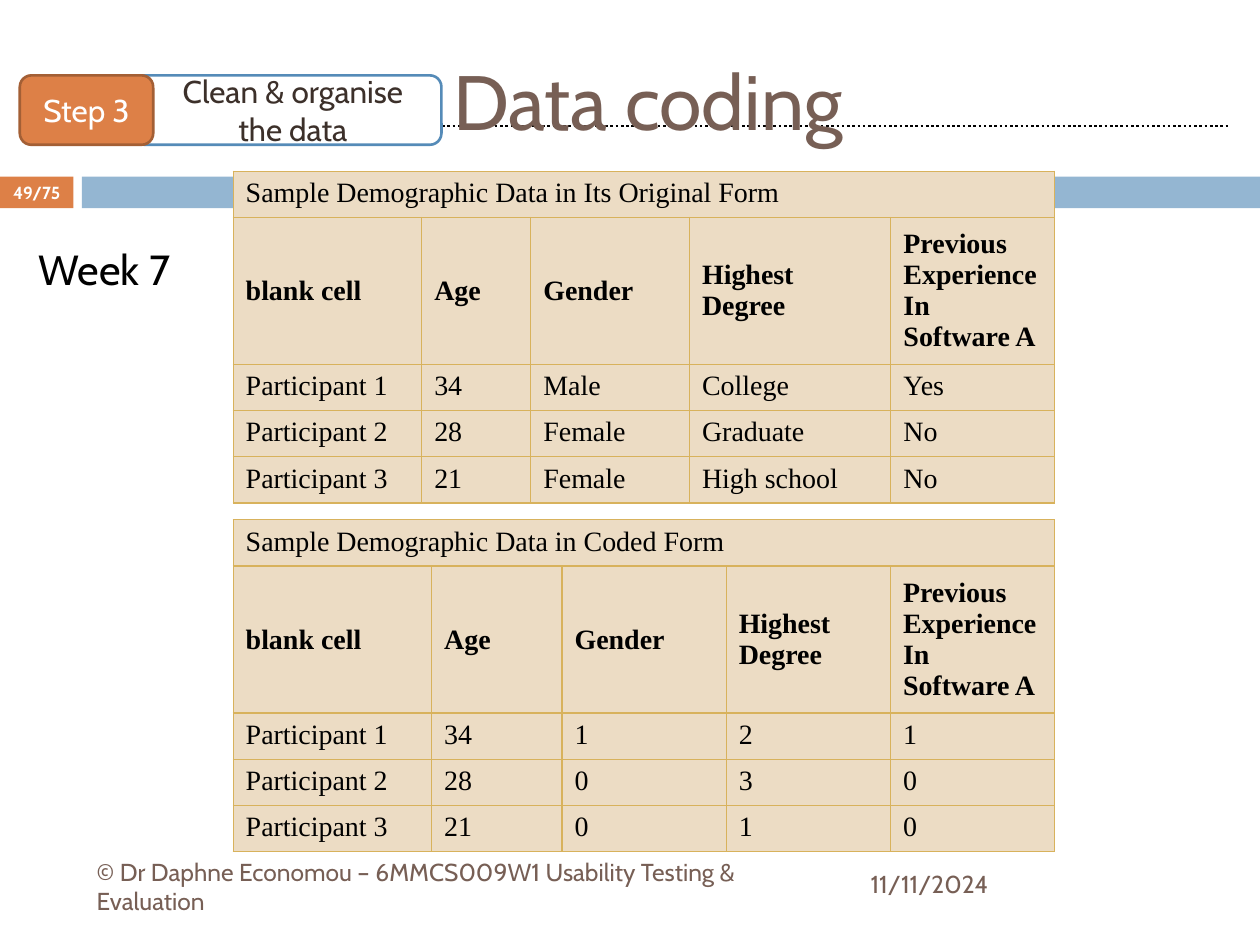
from lxml.etree import SubElement
from pptx import Presentation
from pptx.dml.color import RGBColor
from pptx.enum.dml import MSO_LINE
from pptx.enum.shapes import MSO_CONNECTOR, MSO_SHAPE
from pptx.enum.text import MSO_ANCHOR, PP_ALIGN
from pptx.oxml.ns import qn
from pptx.util import Cm, Pt

BLACK = RGBColor(0, 0, 0)
WHITE = RGBColor(255, 255, 255)
BROWN = RGBColor(0x77, 0x5F, 0x55)
DARK = RGBColor(0x3C, 0x30, 0x2A)
ORANGE = RGBColor(0xDD, 0x80, 0x47)
RUST = RGBColor(0xA3, 0x5F, 0x35)
SKY = RGBColor(0x94, 0xB6, 0xD2)
BLUE = RGBColor(0x55, 0x8B, 0xB8)
SAND = RGBColor(0xEC, 0xDC, 0xC4)
GOLD = "D8B25C"

HEADS = ["blank cell", "Age", "Gender", "Highest Degree",
         "Previous Experience In Software A"]
RAW = [["Participant 1", "34", "Male", "College", "Yes"],
       ["Participant 2", "28", "Female", "Graduate", "No"],
       ["Participant 3", "21", "Female", "High school", "No"]]
CODED = [["Participant 1", "34", "1", "2", "1"],
         ["Participant 2", "28", "0", "3", "0"],
         ["Participant 3", "21", "0", "1", "0"]]


def write(frame, text, size, color, bold=False, face="Cabin", align=PP_ALIGN.LEFT):
    para = frame.paragraphs[0]
    para.text = text
    para.alignment = align
    para.font.size = Pt(size)
    para.font.name = face
    para.font.bold = bold
    para.font.color.rgb = color
    return para


def add_text(slide, box, text, size, color, wrap=True, **style):
    frame = slide.shapes.add_textbox(*map(Cm, box)).text_frame
    frame.word_wrap = wrap
    frame.vertical_anchor = MSO_ANCHOR.MIDDLE
    write(frame, text, size, color, **style)


def add_block(slide, box, fill, kind=MSO_SHAPE.RECTANGLE, edge=None):
    shape = slide.shapes.add_shape(kind, *map(Cm, box))
    shape.shadow.inherit = False
    shape.fill.solid()
    shape.fill.fore_color.rgb = fill
    if edge is None:
        shape.line.fill.background()
    else:
        shape.line.color.rgb = edge
        shape.line.width = Pt(1.5)
    return shape


def add_band(slide, left, top, width, height):
    tab = 1.48
    gap = 0.17
    add_block(slide, (left, top, tab, height), ORANGE)
    add_block(slide, (left + tab + gap, top, width - tab - gap, height), SKY)
    add_text(slide, (left, top, tab, height), "49/75", 10, WHITE,
             bold=True, align=PP_ALIGN.CENTER)


def add_rule(slide, left, top, width):
    rule = slide.shapes.add_connector(
        MSO_CONNECTOR.STRAIGHT, Cm(left), Cm(top), Cm(left + width), Cm(top))
    rule.line.color.rgb = BLACK
    rule.line.width = Pt(1.5)
    rule.line.dash_style = MSO_LINE.ROUND_DOT
    SubElement(rule._element.spPr, qn("a:effectLst"))


def add_step(slide, left, top, width, height):
    tag = 2.69
    start = 2.28
    parts = [((left + start, top, width - start, height), WHITE, BLUE,
              "Clean & organise the data", DARK, 0.23),
             ((left, top, tag, height), ORANGE, RUST, "Step 3", WHITE, 0)]
    for box, fill, edge, text, color, pad in parts:
        shape = add_block(slide, box, fill, MSO_SHAPE.ROUNDED_RECTANGLE, edge)
        frame = shape.text_frame
        frame.word_wrap = True
        frame.vertical_anchor = MSO_ANCHOR.MIDDLE
        para = write(frame, text, 18, color, align=PP_ALIGN.CENTER)
        para._p.get_or_add_pPr().set("marL", str(Cm(pad)))


def style_cell(cell):
    props = cell._tc.get_or_add_tcPr()
    for side in ("a:lnL", "a:lnR", "a:lnT", "a:lnB"):
        line = SubElement(props, qn(side), w=str(Pt(0.79)))
        SubElement(SubElement(line, qn("a:solidFill")), qn("a:srgbClr"), val=GOLD)
    cell.fill.solid()
    cell.fill.fore_color.rgb = SAND


def add_grid(slide, left, top, title, rows, widths):
    low, tall = 0.88, 2.76
    data = [[title] + [""] * 4, HEADS] + rows
    sizes = [low, tall] + [low] * len(rows)
    table = slide.shapes.add_table(
        len(data), len(widths), Cm(left), Cm(top),
        Cm(sum(widths)), Cm(sum(sizes))).table
    for col, width in zip(table.columns, widths):
        col.width = Cm(width)
    for r, (row, size) in enumerate(zip(data, sizes)):
        table.rows[r].height = Cm(size)
        for c, text in enumerate(row):
            cell = table.cell(r, c)
            style_cell(cell)
            if r == 1:
                cell.vertical_anchor = MSO_ANCHOR.MIDDLE
            if text:
                write(cell.text_frame, text, 16, BLACK, r == 1, "Times New Roman")
    table.cell(0, 0).merge(table.cell(0, len(widths) - 1))


def add_footer(slide, left, top, height):
    add_text(slide, (left, top + 0.05, 15.06, height),
             "© Dr Daphne Economou – 6MMCS009W1 Usability Testing & Evaluation",
             14, BROWN)
    add_text(slide, (left + 15.6, top, 7.42, height), "11/11/2024", 14, BROWN)


def main():
    deck = Presentation()
    deck.slide_width = Cm(25.4)
    deck.slide_height = Cm(19.05)
    slide = deck.slides.add_slide(deck.slide_layouts[6])
    add_band(slide, 0, 3.56, 25.4, 0.64)
    add_rule(slide, 1.07, 2.54, 23.7)
    add_text(slide, (8.89, 0.64, 15.44, 2.74), "Data coding", 44, BROWN)
    add_grid(slide, 4.7, 3.45, "Sample Demographic Data in Its Original Form",
             RAW, [3.8, 2.2, 3.2, 4.06, 3.3])
    add_grid(slide, 4.7, 10.48, "Sample Demographic Data in Coded Form",
             CODED, [4, 2.63, 3.31, 3.31, 3.31])
    add_step(slide, 0.4, 1.52, 8.5, 1.4)
    add_text(slide, (0.53, 4.78, 3.23, 1.28), "Week 7", 24, BLACK, wrap=False)
    add_footer(slide, 1.7, 17.3, 1.02)
    deck.save("out.pptx")


if __name__ == "__main__":
    main()
